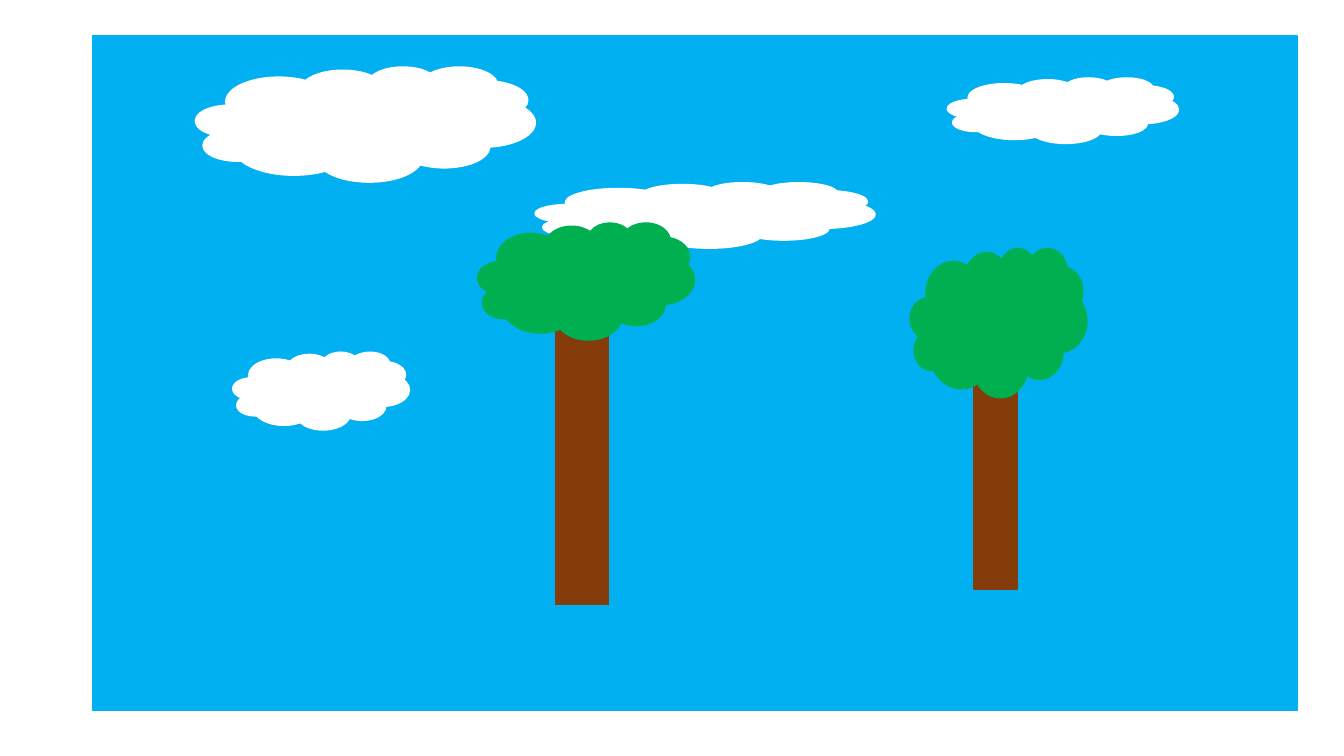
from pptx import Presentation
from pptx import util as u
from pptx.dml import color
from pptx.enum import shapes

SKY_BLUE, CLOUD_WHITE = "00B0F0", "FFFFFF"
TRUNK_BROWN, LEAF_GREEN = "843C0B", "00B050"
RECTANGLE = shapes.MSO_SHAPE.RECTANGLE
CLOUD = shapes.MSO_SHAPE.CLOUD


def rgb(hex_code):
    return color.RGBColor.from_string(hex_code)


def add_part(group, kind, box, hex_code):
    """Add a preset shape with fill and outline in one colour; box is in cm."""
    shape = group.shapes.add_shape(kind, *map(u.Cm, box))
    shape.shadow.inherit = False
    shape.fill.solid()
    shape.fill.fore_color.rgb = rgb(hex_code)
    shape.line.color.rgb = rgb(hex_code)
    shape.line.width = u.Pt(1)


def inside(outer, box):
    """Move a box from its place within the outer box to slide positions."""
    left, top, width, height = box
    return outer[0] + left, outer[1] + top, width, height


def draw_sky(group, box, clouds):
    add_part(group, RECTANGLE, box, SKY_BLUE)
    for cloud in clouds:
        add_part(group, CLOUD, inside(box, cloud), CLOUD_WHITE)


def draw_tree(group, box, crown_height):
    """Fill the box with a trunk and, in front of it, the crown."""
    left, top, width, height = box
    trunk_top = 0.51 * crown_height
    trunk = (0.36 * width, trunk_top, 0.245 * width, height - trunk_top)
    add_part(group, RECTANGLE, inside(box, trunk), TRUNK_BROWN)
    add_part(group, CLOUD, (left, top, width, crown_height), LEAF_GREEN)


presentation = Presentation()
presentation.slide_width = u.Cm(33.87)
presentation.slide_height = u.Cm(19.05)
slide = presentation.slides.add_slide(presentation.slide_layouts[6])
scene = slide.shapes.add_group_shape()

# Sky with clouds, placed relative to the sky
sky = (2.34, 0.89, 30.35, 17.02)
clouds = [
    (2.59, 0.79, 8.56, 2.9),
    (21.54, 1.07, 5.82, 1.65),
    (11.15, 3.71, 8.56, 1.65),
    (3.53, 7.98, 4.45, 1.96),
]
draw_sky(scene, sky, clouds)

# Trees, placed relative to the sky: box and crown height
trees = [
    ((20.6, 5.36, 4.45, 8.59), 3.76),
    ((9.7, 4.72, 5.46, 9.63), 2.95),
]
for tree, crown_height in trees:
    draw_tree(scene, inside(sky, tree), crown_height)

presentation.save("out.pptx")
